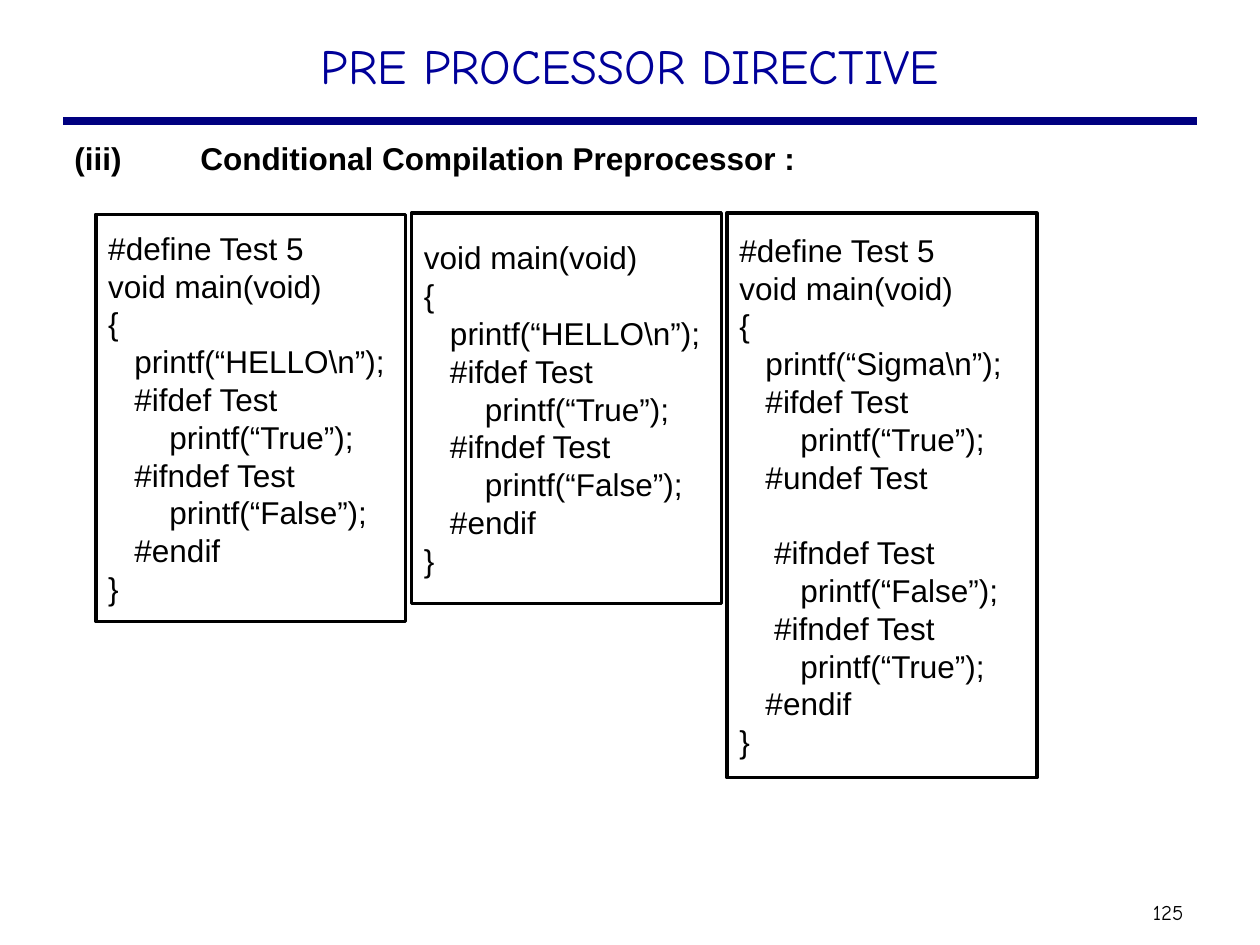
from lxml import etree
from pptx import Presentation
from pptx.dml.color import RGBColor
from pptx.enum import shapes, text
from pptx.oxml import ns
from pptx.util import Pt

BLACK = RGBColor(0x00, 0x00, 0x00)
NAVY = RGBColor(0x00, 0x00, 0x80)
TITLE_BLUE = RGBColor(0x00, 0x00, 0x99)
CODE_PITCH = 21.6

HELLO_BODY = [
    "void main(void)",
    "{",
    "   printf(“HELLO\\n”);",
    "   #ifdef Test",
    "       printf(“True”);",
    "   #ifndef Test",
    "       printf(“False”);",
    "   #endif",
    "}",
]
SIGMA_CODE = [
    "#define Test 5",
    "void main(void)",
    "{",
    "   printf(“Sigma\\n”);",
    "   #ifdef Test",
    "       printf(“True”);",
    "   #undef Test",
    "",
    "    #ifndef Test",
    "       printf(“False”);",
    "    #ifndef Test",
    "       printf(“True”);",
    "   #endif",
    "}",
]


def style(paragraph, size, font, color, bold=False):
    for run in paragraph.runs:
        run.font.size = Pt(size)
        run.font.name = font
        run.font.color.rgb = color
        run.font.bold = bold


def set_margins(frame, side, edge):
    frame.margin_left = frame.margin_right = Pt(side)
    frame.margin_top = frame.margin_bottom = Pt(edge)


def add_label(slide, box, wording, size, font, color, side=7.2):
    frame = slide.shapes.add_textbox(*map(Pt, box)).text_frame
    frame.word_wrap = True
    set_margins(frame, side, 3.6)
    frame.text = wording
    style(frame.paragraphs[0], size, font, color)
    return frame


def add_title(slide, box):
    title = add_label(slide, box, "PRE PROCESSOR DIRECTIVE", 28, "Comic Neue", TITLE_BLUE)
    title.paragraphs[0].alignment = text.PP_ALIGN.CENTER


def add_rule(slide, left, top, width):
    rule = slide.shapes.add_connector(
        shapes.MSO_CONNECTOR.STRAIGHT, Pt(left), Pt(top), Pt(left + width), Pt(top))
    rule.line.color.rgb = NAVY
    rule.line.width = Pt(4.5)
    etree.SubElement(rule._element.spPr, ns.qn("a:effectLst"))


def add_heading(slide, box):
    heading = add_label(slide, box, "(iii)\tConditional Compilation Preprocessor :",
                        18, "Arial", BLACK).paragraphs[0]
    tabs = etree.SubElement(heading._p.get_or_add_pPr(), ns.qn("a:tabLst"))
    etree.SubElement(tabs, ns.qn("a:tab"), pos=str(Pt(72)), algn="l")
    style(heading, 18, "Arial", BLACK, bold=True)


def add_page_number(slide, box):
    number = add_label(slide, box, "125", 12, "Comic Neue", BLACK, side=3.6)
    number.vertical_anchor = text.MSO_ANCHOR.MIDDLE


def add_code_panel(slide, box, code):
    panel = slide.shapes.add_shape(shapes.MSO_SHAPE.RECTANGLE, *map(Pt, box))
    panel.shadow.inherit = False
    panel.fill.background()
    panel.line.color.rgb = BLACK
    panel.line.width = Pt(2)
    frame = panel.text_frame
    frame.word_wrap = True
    frame.vertical_anchor = text.MSO_ANCHOR.MIDDLE
    set_margins(frame, 7.2, 3.6)
    frame.text = "\n".join(line for line in code if line)
    gaps = [not before for before, line in zip([" "] + code, code) if line]
    for paragraph, after_gap in zip(frame.paragraphs, gaps):
        paragraph.alignment = text.PP_ALIGN.LEFT
        paragraph.line_spacing = Pt(CODE_PITCH)
        if after_gap:
            paragraph.space_before = Pt(CODE_PITCH)
        style(paragraph, 18, "Arial", BLACK)


def add_code_row(slide, left, top, width, pitch):
    panels = [
        (0.7, 232.6, ["#define Test 5"] + HELLO_BODY),
        (0, 223.2, HELLO_BODY),
        (0, 322.6, SIGMA_CODE),
    ]
    for column, (drop, height, code) in enumerate(panels):
        add_code_panel(slide, (left + column * pitch, top + drop, width, height), code)


def main():
    deck = Presentation()
    deck.slide_width, deck.slide_height = Pt(720), Pt(540)
    slide = deck.slides.add_slide(deck.slide_layouts[6])
    add_rule(slide, 36, 69.2, 648)
    add_page_number(slide, (655.2, 510.5, 34, 21.6))
    add_title(slide, (54, 16.6, 612, 46.8))
    add_heading(slide, (35.4, 76, 646.6, 28))
    add_code_row(slide, 54.8, 121.8, 177.1, 180.3)
    deck.save("out.pptx")


if __name__ == "__main__":
    main()
